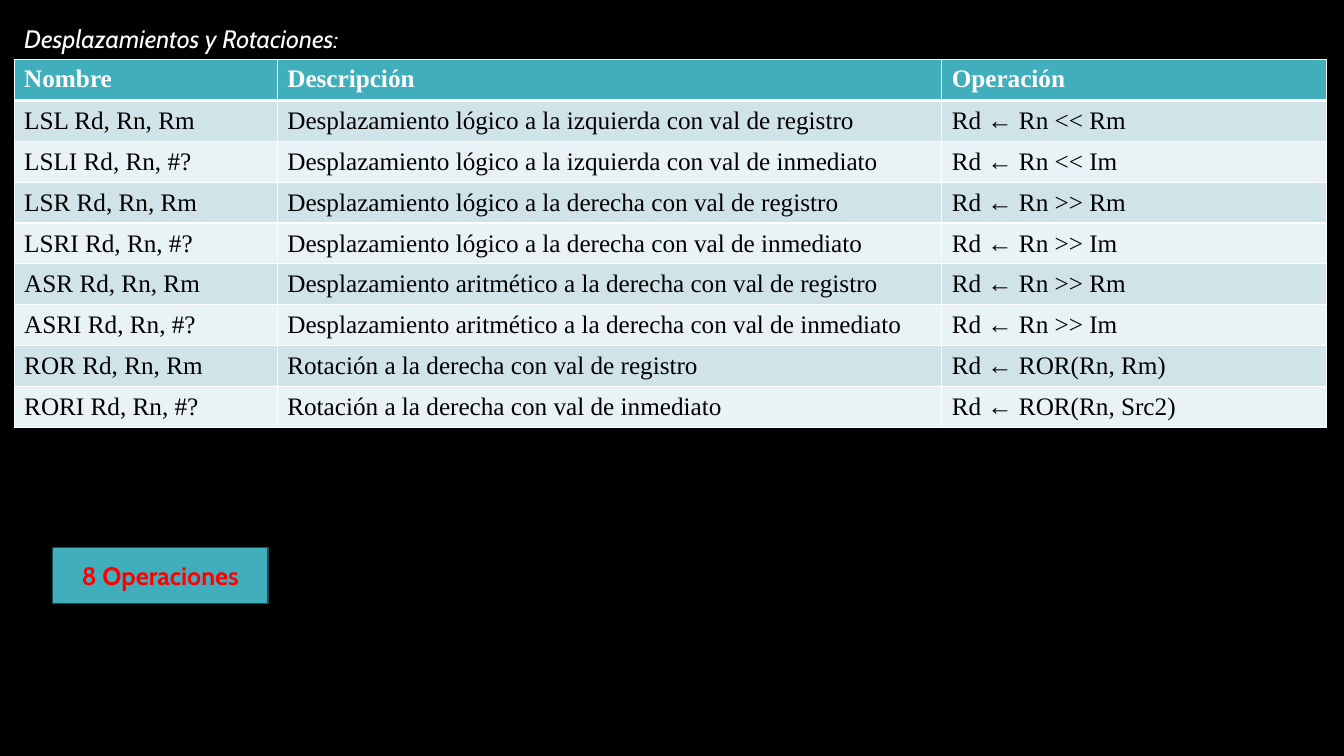
"""Build a slide listing the shift and rotate instructions."""
from lxml import etree
from pptx import Presentation
from pptx.dml.color import RGBColor
from pptx.enum.shapes import MSO_SHAPE
from pptx.enum.text import MSO_ANCHOR, MSO_AUTO_SIZE, PP_ALIGN
from pptx.oxml.ns import qn
from pptx.util import Inches, Pt

RECTANGLE = MSO_SHAPE.RECTANGLE
TOP, MIDDLE = MSO_ANCHOR.TOP, MSO_ANCHOR.MIDDLE
LEFT, CENTER = PP_ALIGN.LEFT, PP_ALIGN.CENTER
TITLE_ONLY = 5

COLORS = {
    "background": "000000",
    "teal": "41AEBD",
    "dark_teal": "1C4C53",
    "odd_row": "CFE3E8",
    "even_row": "E9F2F4",
    "white": "FFFFFF",
    "black": "000000",
    "red": "FF0000",
}
HEADINGS = ("Nombre", "Descripción", "Operación")
INSTRUCTIONS = [
    ("LSL Rd, Rn, Rm", "Desplazamiento lógico a la izquierda con val de registro", "Rd ← Rn << Rm"),
    ("LSLI Rd, Rn, #?", "Desplazamiento lógico a la izquierda con val de inmediato", "Rd ← Rn << Im"),
    ("LSR Rd, Rn, Rm", "Desplazamiento lógico a la derecha con val de registro", "Rd ← Rn >> Rm"),
    ("LSRI Rd, Rn, #?", "Desplazamiento lógico a la derecha con val de inmediato", "Rd ← Rn >> Im"),
    ("ASR Rd, Rn, Rm", "Desplazamiento aritmético a la derecha con val de registro", "Rd ← Rn >> Rm"),
    ("ASRI Rd, Rn, #?", "Desplazamiento aritmético a la derecha con val de inmediato", "Rd ← Rn >> Im"),
    ("ROR Rd, Rn, Rm", "Rotación a la derecha con val de registro", "Rd ← ROR(Rn, Rm)"),
    ("RORI Rd, Rn, #?", "Rotación a la derecha con val de inmediato", "Rd ← ROR(Rn, Src2)"),
]
COLUMN_WIDTHS = (2.61, 6.59, 3.82)
TABLE_HEIGHT = 3.65


def write_text(frame, text, font="Cabin", color="white", bold=False,
               italic=False, align=LEFT, anchor=TOP):
    frame.word_wrap = True
    frame.vertical_anchor = anchor
    paragraph = frame.paragraphs[0]
    paragraph.alignment = align
    run = paragraph.add_run()
    run.text = text
    run.font.name = font
    run.font.size = Pt(18)
    run.font.bold = bold
    run.font.italic = italic
    run.font.color.rgb = RGBColor.from_string(COLORS[color])


def add_borders(cell, top, bottom):
    properties = cell._tc.get_or_add_tcPr()
    for side, points in (("L", 1), ("R", 1), ("T", top), ("B", bottom)):
        line = etree.SubElement(properties, qn(f"a:ln{side}"), w=str(Pt(points)))
        fill = etree.SubElement(line, qn("a:solidFill"))
        etree.SubElement(fill, qn("a:srgbClr"), val=COLORS["white"])


presentation = Presentation()
presentation.slide_width = Inches(13.33)
presentation.slide_height = Inches(7.5)
slide = presentation.slides.add_slide(presentation.slide_layouts[TITLE_ONLY])
slide.background.fill.solid()
slide.background.fill.fore_color.rgb = RGBColor.from_string(COLORS["background"])

rows = [HEADINGS] + INSTRUCTIONS
table = slide.shapes.add_table(
    len(rows), len(HEADINGS), Inches(0.14), Inches(0.59),
    Inches(sum(COLUMN_WIDTHS)), Inches(TABLE_HEIGHT)).table
for column, width in zip(table.columns, COLUMN_WIDTHS):
    column.width = Inches(width)

for row_index, texts in enumerate(rows):
    table.rows[row_index].height = Inches(TABLE_HEIGHT / len(rows))
    is_header = row_index == 0
    row_color = "teal" if is_header else "odd_row" if row_index % 2 else "even_row"
    for column_index, text in enumerate(texts):
        cell = table.cell(row_index, column_index)
        add_borders(cell, top=3 if row_index == 1 else 1, bottom=3 if is_header else 1)
        cell.fill.solid()
        cell.fill.fore_color.rgb = RGBColor.from_string(COLORS[row_color])
        write_text(cell.text_frame, text, font="Times New Roman",
                   color="white" if is_header else "black", bold=is_header)
        cell.vertical_anchor = TOP if is_header else MIDDLE

title = slide.shapes.title
title.left, title.top = Inches(0.14), Inches(0.18)
title.width, title.height = Inches(4.59), Inches(0.4)
title.text_frame.auto_size = MSO_AUTO_SIZE.NONE
write_text(title.text_frame, "Desplazamientos y Rotaciones:", italic=True)

count_box = slide.shapes.add_shape(
    RECTANGLE, Inches(0.52), Inches(5.43), Inches(2.14), Inches(0.56))
count_box.shadow.inherit = False
count_box.fill.solid()
count_box.fill.fore_color.rgb = RGBColor.from_string(COLORS["teal"])
count_box.line.color.rgb = RGBColor.from_string(COLORS["dark_teal"])
count_box.line.width = Pt(1)
write_text(count_box.text_frame, "8 Operaciones", color="red", bold=True,
           align=CENTER, anchor=MIDDLE)

presentation.save("out.pptx")
